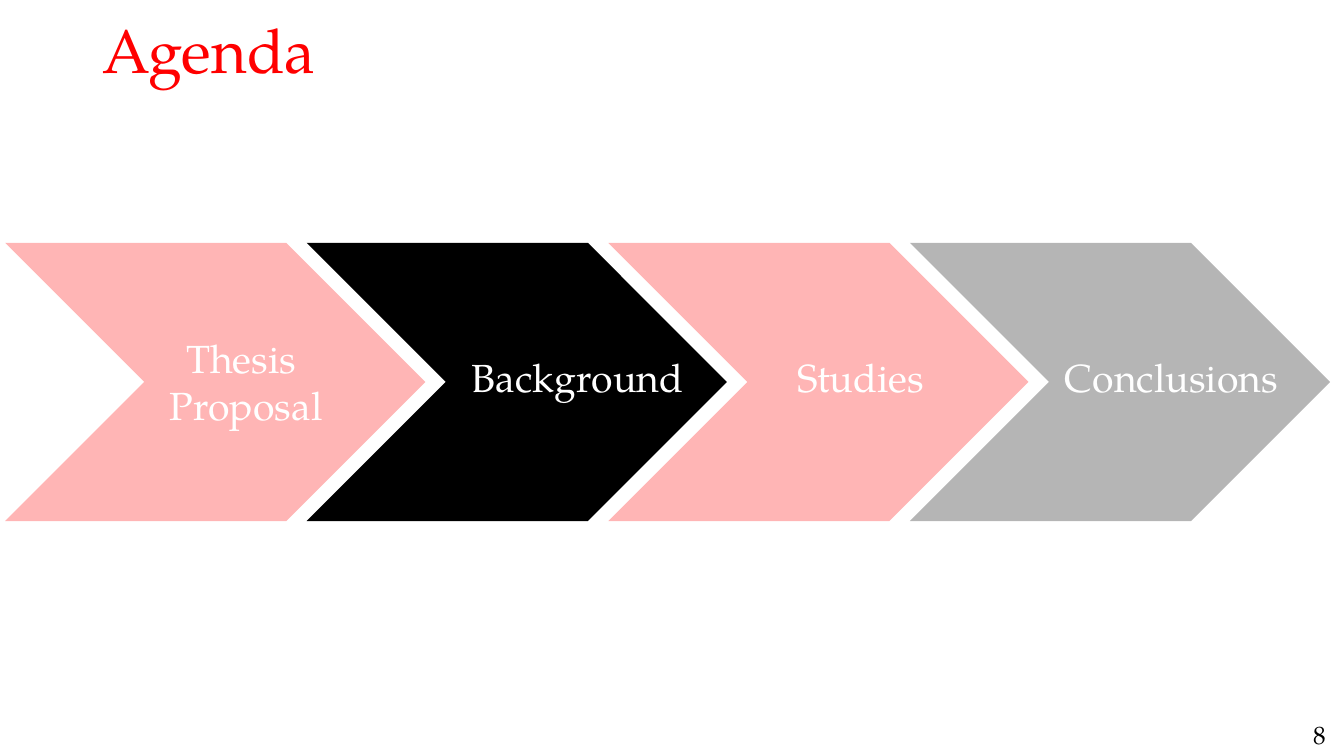
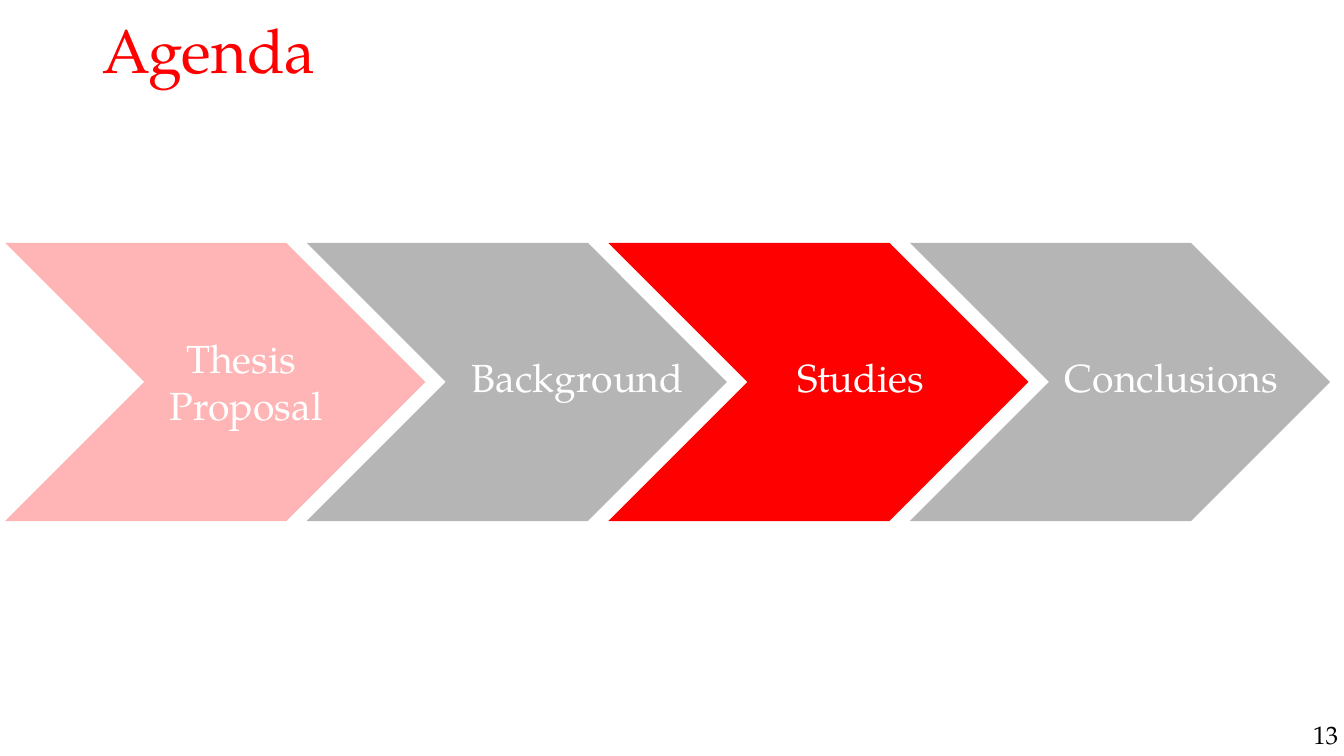
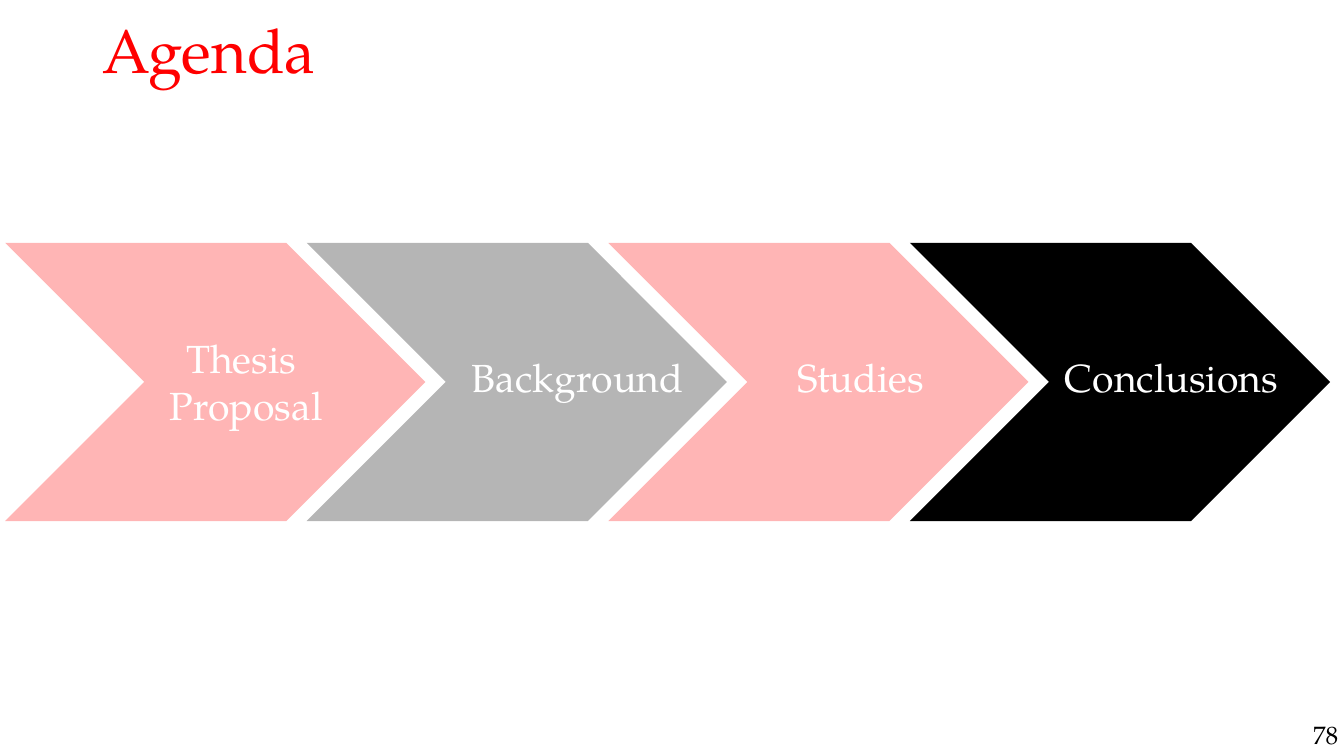
"""Build three agenda slides, each with its current stage highlighted."""
from lxml import etree
from pptx import Presentation
from pptx import util as u
from pptx.dml.color import RGBColor
from pptx.enum import shapes, text
from pptx.oxml.ns import qn

FONT = "TeX Gyre Pagella"
RED, BLACK, WHITE = "FF0000", "000000", "FFFFFF"
FADED_ALPHA = 29
STAGE_COLORS = (RED, BLACK, RED, BLACK)
STAGE_LEFT, STAGE_PITCH, STAGE_TOP = 0.13, 7.6, 6.12
STAGE_WIDTH, STAGE_HEIGHT = 10.59, 7.01
LABEL_WIDTH = 8
LABELS = (
    (("Thesis ", "Proposal"), 6.2, 8.31, 2.64),
    (("Background",), 14.56, 8.79, 1.45),
    (("Studies",), 21.69, 8.79, 1.45),
    (("Conclusions",), 29.52, 8.79, 1.45),
)
AGENDA_SLIDES = (("8", 1), ("13", 2), ("78", 3))


def rgb(color):
    """Turn a hex string into a colour."""
    return RGBColor.from_string(color)


def add_run(paragraph, wording, size, color):
    """Add one formatted run to a paragraph."""
    run = paragraph.add_run()
    run.text = wording
    run.font.name = FONT
    run.font.size = u.Pt(size)
    run.font.color.rgb = rgb(color)


def set_title(slide, wording):
    """Place and format the title placeholder."""
    title = slide.shapes.title
    title.left, title.top = u.Cm(2.33), u.Cm(0.38)
    title.width, title.height = u.Cm(29.21), u.Cm(3.23)
    frame = title.text_frame
    frame.word_wrap = True
    frame.auto_size = text.MSO_AUTO_SIZE.NONE
    frame.vertical_anchor = text.MSO_ANCHOR.TOP
    paragraph = frame.paragraphs[0]
    paragraph.alignment = text.PP_ALIGN.LEFT
    paragraph.line_spacing = 0.9
    add_run(paragraph, wording, 44, RED)


def add_stage(slide, position, color, faded):
    """Add one chevron, translucent unless it is the current stage."""
    chevron = slide.shapes.add_shape(
        shapes.MSO_SHAPE.CHEVRON,
        u.Cm(STAGE_LEFT + position * STAGE_PITCH), u.Cm(STAGE_TOP),
        u.Cm(STAGE_WIDTH), u.Cm(STAGE_HEIGHT))
    chevron.shadow.inherit = False
    chevron.line.fill.background()
    chevron.fill.solid()
    chevron.fill.fore_color.rgb = rgb(color)
    if faded:
        fill_color = chevron.fill._xPr.find(qn("a:solidFill"))[0]
        alpha = etree.SubElement(fill_color, qn("a:alpha"))
        alpha.set("val", str(FADED_ALPHA * 1000))


def add_label(slide, lines, center, top, height):
    """Add a centred stage label, one paragraph per line."""
    box = slide.shapes.add_textbox(
        u.Cm(center - LABEL_WIDTH / 2), u.Cm(top), u.Cm(LABEL_WIDTH), u.Cm(height))
    frame = box.text_frame
    frame.word_wrap = True
    for index, line in enumerate(lines):
        paragraph = frame.add_paragraph() if index else frame.paragraphs[0]
        paragraph.alignment = text.PP_ALIGN.CENTER
        add_run(paragraph, line, 28, WHITE)


def add_page_number(slide, number):
    """Add the page number in the lower right corner."""
    box = slide.shapes.add_textbox(u.Cm(32.84), u.Cm(18.01), u.Cm(1.02), u.Cm(1.02))
    frame = box.text_frame
    frame.word_wrap = False
    frame.margin_right = 0
    add_run(frame.paragraphs[0], number, 18, BLACK)


def add_agenda_slide(presentation, number, current):
    """Add an agenda slide that highlights the current stage."""
    slide = presentation.slides.add_slide(presentation.slide_layouts[5])
    set_title(slide, "Agenda")
    for position, color in enumerate(STAGE_COLORS):
        add_stage(slide, position, color, position != current)
    for label in LABELS:
        add_label(slide, *label)
    add_page_number(slide, number)


def main():
    """Build and save the presentation."""
    presentation = Presentation()
    presentation.slide_width = u.Cm(33.87)
    presentation.slide_height = u.Cm(19.05)
    for number, current in AGENDA_SLIDES:
        add_agenda_slide(presentation, number, current)
    presentation.save("out.pptx")


if __name__ == "__main__":
    main()
